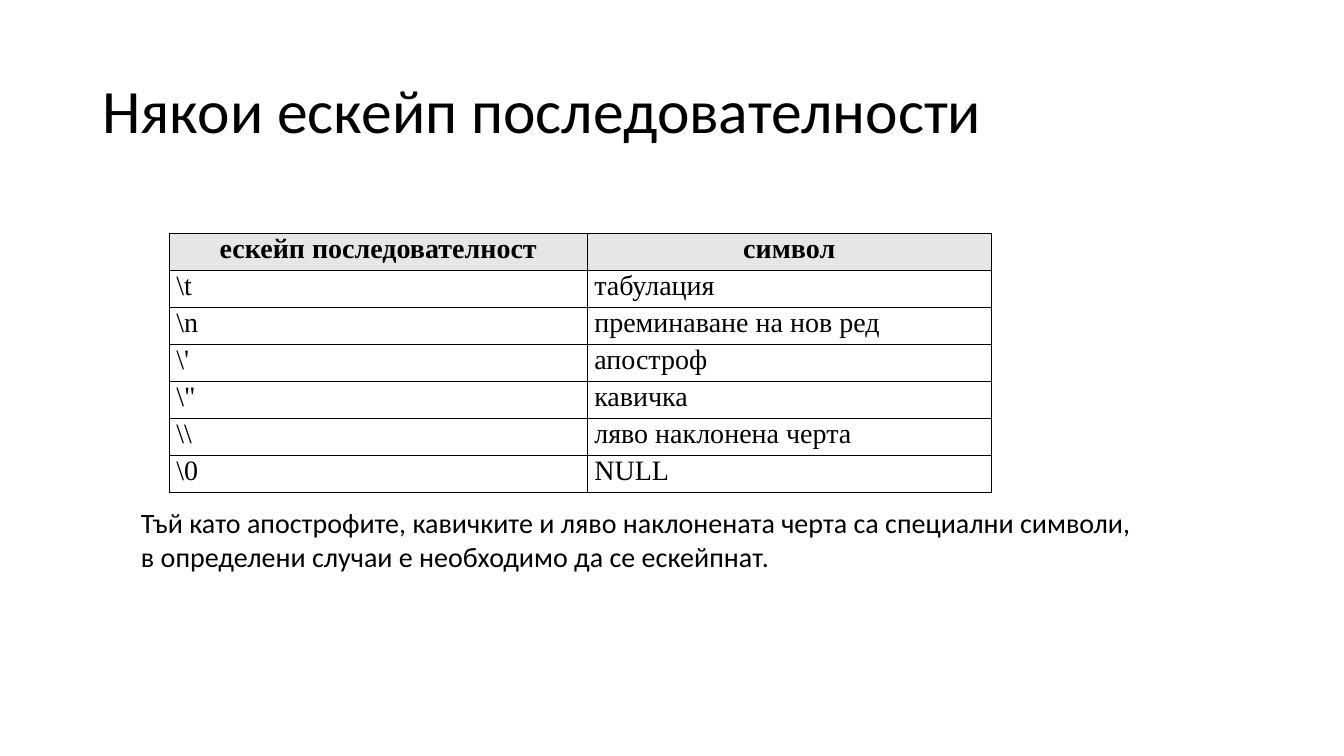
from lxml import etree
from pptx import Presentation
from pptx import util as u
from pptx.dml.color import RGBColor
from pptx.enum import text
from pptx.oxml import ns

COLORS = {"ink": "000000", "header": "E6E6E6", "background": "FFFFFF"}
ESCAPES = [
    ("ескейп последователност", "символ"),
    (r"\t", "табулация"),
    (r"\n", "преминаване на нов ред"),
    (r"\'", "апостроф"),
    (r"\"", "кавичка"),
    (r"\\", "ляво наклонена черта"),
    (r"\0", "NULL"),
]


def color(name):
    return RGBColor.from_string(COLORS[name])


def apply(target, formats):
    for name, value in formats.items():
        setattr(target, name, value)


class SlideBuilder:
    body_font = "Calibri"
    table_font = "Times New Roman"

    def __init__(self, slide):
        self.slide = slide
        slide.background.fill.solid()
        slide.background.fill.fore_color.rgb = color("background")

    def fill_paragraph(self, paragraph, words, **formats):
        paragraph.text = words
        apply(paragraph.font, formats)
        paragraph.font.color.rgb = color("ink")

    def text_box(self, words, box, size, anchor=text.MSO_ANCHOR.TOP, line_spacing=1.0):
        shape = self.slide.shapes.add_textbox(*map(u.Pt, box))
        frame = shape.text_frame
        apply(frame, {"word_wrap": True, "vertical_anchor": anchor})
        paragraph = frame.paragraphs[0]
        paragraph.line_spacing = line_spacing
        self.fill_paragraph(paragraph, words, name=self.body_font, size=u.Pt(size))

    def border(self, cell, width=1):
        properties = cell._tc.get_or_add_tcPr()
        for side in ("a:lnL", "a:lnR", "a:lnT", "a:lnB"):
            line = etree.SubElement(properties, ns.qn(side), w=str(u.Pt(width)))
            fill = etree.SubElement(line, ns.qn("a:solidFill"))
            etree.SubElement(fill, ns.qn("a:srgbClr"), val=COLORS["ink"])

    def table(self, rows, left, top, column_widths, row_height, size):
        box = (left, top, sum(column_widths), row_height * len(rows))
        table = self.slide.shapes.add_table(
            len(rows), len(column_widths), *map(u.Pt, box)).table
        apply(table, {"first_row": False, "horz_banding": False})
        for column, width in zip(table.columns, column_widths):
            column.width = u.Pt(width)
        for row_index, row in enumerate(rows):
            for column_index, words in enumerate(row):
                self.cell(table.cell(row_index, column_index), words, size, row_index == 0)

    def cell(self, cell, words, size, is_header):
        apply(cell, {"margin_left": u.Pt(5), "margin_right": u.Pt(5),
                     "margin_top": 0, "margin_bottom": 0})
        self.border(cell)
        paragraph = cell.text_frame.paragraphs[0]
        if is_header:
            cell.fill.solid()
            cell.fill.fore_color.rgb = color("header")
            paragraph.alignment = text.PP_ALIGN.CENTER
        else:
            cell.fill.background()
        self.fill_paragraph(paragraph, words, name=self.table_font, size=u.Pt(size),
                            bold=is_header)


def main():
    presentation = Presentation()
    apply(presentation, {"slide_width": u.Pt(960), "slide_height": u.Pt(540)})
    builder = SlideBuilder(presentation.slides.add_slide(presentation.slide_layouts[6]))
    builder.text_box("Някои ескейп последователности", (66, 28.8, 828, 104.4), 44,
                     text.MSO_ANCHOR.MIDDLE, 0.9)
    builder.table(ESCAPES, 121, 166.5, (298.5, 288.5), 26.5, 20)
    builder.text_box(
        "Тъй като апострофите, кавичките и ляво наклонената черта са специални символи, "
        "в определени случаи е необходимо да се ескейпнат.",
        (93.6, 357.8, 733.7, 77.8), 20)
    presentation.save("out.pptx")


if __name__ == "__main__":
    main()
